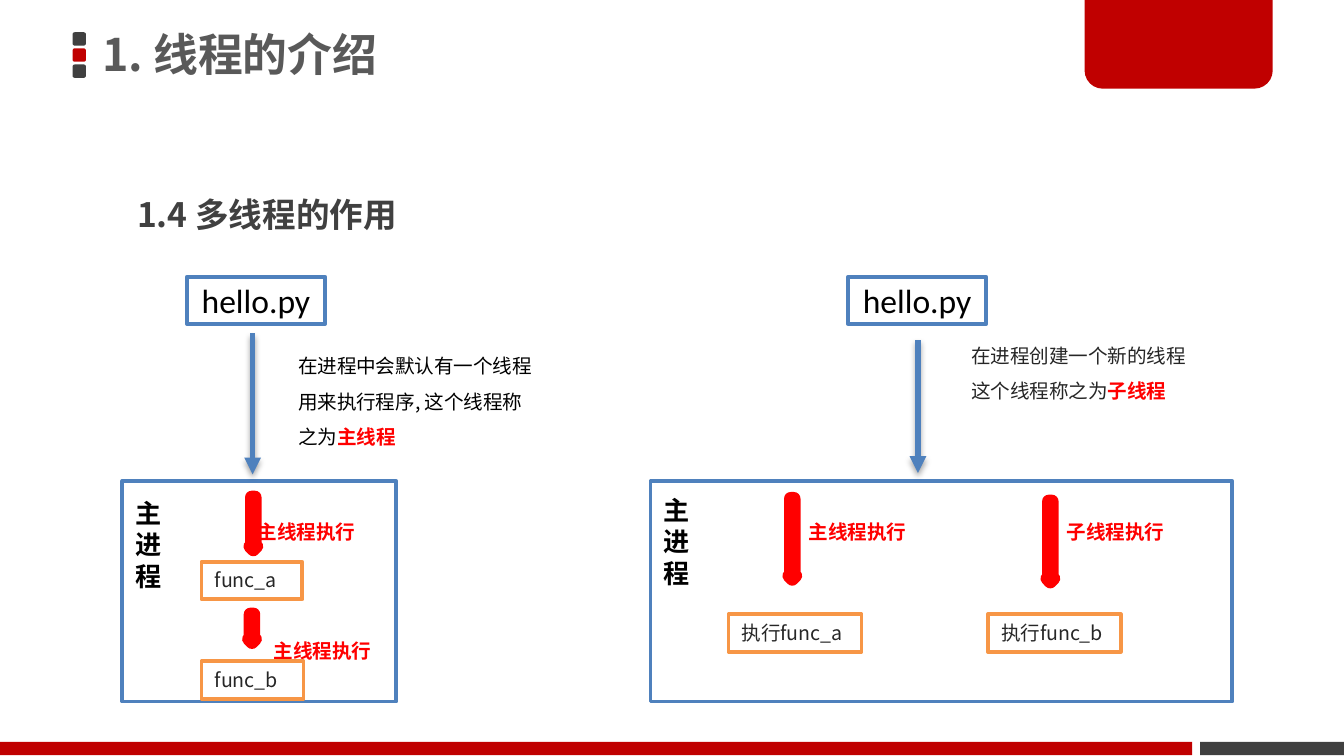
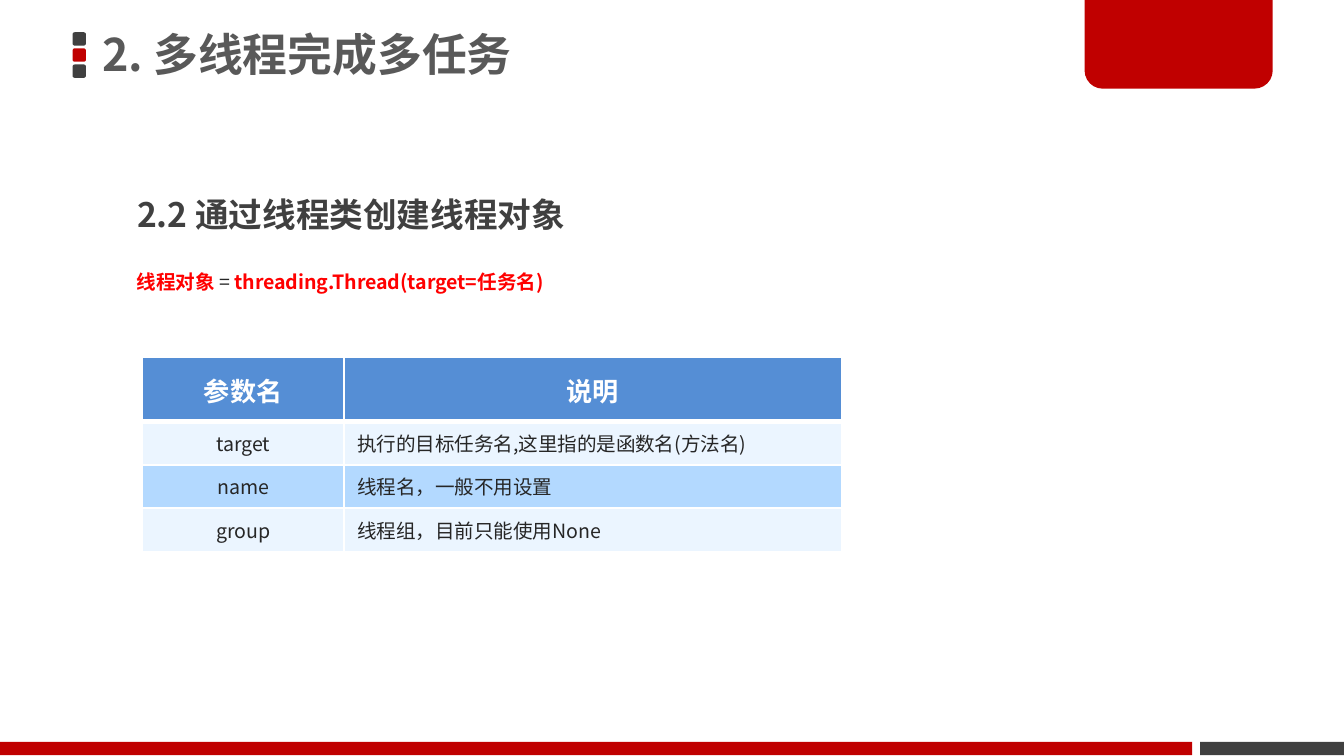
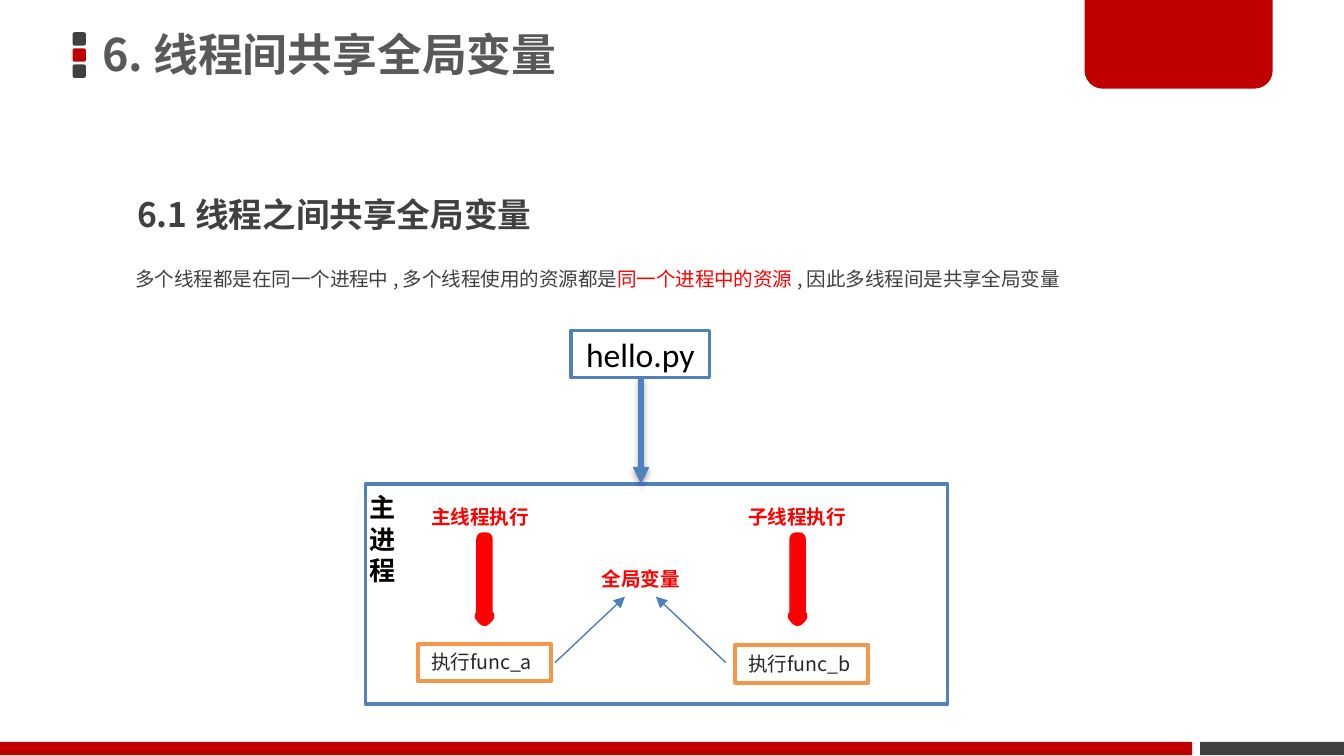
from dataclasses import dataclass, field
from typing import Any, NamedTuple

from lxml import etree
from pptx import Presentation
from pptx.dml.color import RGBColor
from pptx.enum.shapes import MSO_CONNECTOR, MSO_SHAPE
from pptx.enum.text import MSO_ANCHOR, MSO_AUTO_SIZE, PP_ALIGN
from pptx.oxml import parse_xml
from pptx.oxml.ns import nsdecls, qn
from pptx.util import Inches, Pt

RECT, ROUND_RECT = MSO_SHAPE.RECTANGLE, MSO_SHAPE.ROUNDED_RECTANGLE
TAB, DOWN_ARROW = MSO_SHAPE.ROUND_2_SAME_RECTANGLE, MSO_SHAPE.DOWN_ARROW
STRAIGHT = MSO_CONNECTOR.STRAIGHT
TOP, MIDDLE = MSO_ANCHOR.TOP, MSO_ANCHOR.MIDDLE
LEFT, CENTER = PP_ALIGN.LEFT, PP_ALIGN.CENTER
FIXED, GROW = MSO_AUTO_SIZE.NONE, MSO_AUTO_SIZE.SHAPE_TO_FIT_TEXT


def rgb(value: str) -> RGBColor:
    return RGBColor.from_string(value)


@dataclass(frozen=True)
class Theme:
    white: RGBColor = rgb("FFFFFF")
    black: RGBColor = rgb("000000")
    ink: RGBColor = rgb("262626")
    dark: RGBColor = rgb("404040")
    title: RGBColor = rgb("595959")
    brand: RGBColor = rgb("C00000")
    red: RGBColor = rgb("FF0000")
    blue: RGBColor = rgb("4F81BD")
    thin_blue: RGBColor = rgb("4B7EBC")
    orange: RGBColor = rgb("F79646")
    header: RGBColor = rgb("558ED5")
    light_row: RGBColor = rgb("EBF5FF")
    deep_row: RGBColor = rgb("B3D9FF")
    title_size: float = 24
    section_size: float = 18
    tag_size: float = 14
    text_size: float = 10.5
    cjk: str = "Noto Sans CJK SC"
    latin: str = "Calibri"


THEME = Theme()


class Style(NamedTuple):
    size: float
    color: RGBColor
    bold: bool = False
    font: str = THEME.cjk


TITLE = Style(THEME.title_size, THEME.title, True)
SECTION = Style(THEME.section_size, THEME.dark, True)
BODY = Style(THEME.text_size, THEME.ink)
BODY_BLACK = BODY._replace(color=THEME.black)
BODY_DARK = BODY._replace(color=THEME.dark)
BODY_RED = BODY._replace(color=THEME.red)
KEY = BODY_RED._replace(bold=True)
FILE = Style(THEME.section_size, THEME.black, False, THEME.latin)
TAG = Style(THEME.tag_size, THEME.black, True, THEME.latin)
HEADER = Style(THEME.tag_size, THEME.white, True)


class Box(NamedTuple):
    left: float
    top: float
    width: float
    height: float

    def lengths(self) -> list[Inches]:
        return [Inches(value) for value in self]


@dataclass(frozen=True)
class Line:
    """One paragraph: its styled spans, its format values and left indent."""
    spans: list[tuple[str, Style]]
    formats: dict[str, Any] = field(default_factory=dict)
    indent: float = 0


class Outline(NamedTuple):
    color: RGBColor
    width: float


PROCESS_EDGE = Outline(THEME.blue, 2)
TASK_EDGE = Outline(THEME.orange, 2)
THREAD_EDGE = Outline(THEME.red, 7)
LOOSE = {"line_spacing": 1.5}


@dataclass(frozen=True)
class Process:
    """A file that starts a process, with the process frame below it."""
    file_at: tuple[float, float]
    start: tuple[float, float]
    end: tuple[float, float]
    frame: Box
    tag_at: tuple[float, float]
    frame_lines: list[Line] = field(default_factory=list)


@dataclass(frozen=True)
class Task:
    """A thread arrow that leads to the function it runs."""
    name: str
    box: Box
    thread: Box
    label: str = ""
    label_at: tuple[float, float] = (0, 0)


# Drawing helpers
def apply(target: Any, formats: dict[str, Any]) -> None:
    for name, value in formats.items():
        setattr(target, name, value)


def write(frame: Any, lines: list[Line], **formats: Any) -> None:
    apply(frame, {"word_wrap": True, **formats})
    for index, line in enumerate(lines):
        paragraph = frame.paragraphs[0] if index == 0 else frame.add_paragraph()
        apply(paragraph, {"alignment": LEFT, **line.formats})
        if line.indent:
            paragraph._p.get_or_add_pPr().set("marL", str(Inches(line.indent)))
        for text, style in line.spans:
            run = paragraph.add_run()
            run.text = text
            apply(run.font, {"size": Pt(style.size), "bold": style.bold, "name": style.font})
            run.font.color.rgb = style.color
            east_asian = etree.SubElement(run.font._element, qn("a:ea"))
            east_asian.set("typeface", THEME.cjk)


def add_text(slide: Any, box: Box, lines: list[Line], **formats: Any) -> None:
    frame = slide.shapes.add_textbox(*box.lengths()).text_frame
    write(frame, lines, auto_size=GROW, **formats)


def add_block(slide: Any, kind: Any, box: Box, fill: RGBColor | None = None,
              outline: Outline | None = None) -> Any:
    block = slide.shapes.add_shape(kind, *box.lengths())
    block.shadow.inherit = False
    if fill is None:
        block.fill.background()
    else:
        block.fill.solid()
        block.fill.fore_color.rgb = fill
    if outline is None:
        block.line.fill.background()
    else:
        block.line.color.rgb = outline.color
        block.line.width = Pt(outline.width)
    return block


def add_arrow(slide: Any, start: tuple[float, float], end: tuple[float, float],
              outline: Outline, shadow: bool = False) -> None:
    arrow = slide.shapes.add_connector(STRAIGHT, *(Inches(v) for v in (*start, *end)))
    arrow.line.color.rgb = outline.color
    arrow.line.width = Pt(outline.width)
    etree.SubElement(arrow.line._get_or_add_ln(), qn("a:tailEnd")).set("type", "triangle")
    effects = etree.SubElement(arrow._element.spPr, qn("a:effectLst"))
    if shadow:
        effects.append(parse_xml(
            f'<a:outerShdw {nsdecls("a")} blurRad="{Pt(3.1)}" dist="{Pt(1.8)}" dir="5400000">'
            f'<a:srgbClr val="{THEME.black}"><a:alpha val="35000"/></a:srgbClr></a:outerShdw>'))


def add_process(slide: Any, process: Process) -> None:
    frame = add_block(slide, RECT, process.frame, THEME.white, PROCESS_EDGE)
    if process.frame_lines:
        write(frame.text_frame, process.frame_lines, vertical_anchor=MIDDLE)
    file = add_block(slide, RECT, Box(*process.file_at, 1.03, 0.35), THEME.white, PROCESS_EDGE)
    write(file.text_frame, [Line([("hello.py", FILE)], {"alignment": CENTER})],
          vertical_anchor=MIDDLE)
    add_arrow(slide, process.start, process.end, Outline(THEME.blue, 3), shadow=True)
    add_text(slide, Box(*process.tag_at, 0.4, 0.81),
             [Line([(letter, TAG)]) for letter in "主进程"], word_wrap=False)


def add_task(slide: Any, task: Task) -> None:
    add_block(slide, DOWN_ARROW, task.thread, outline=THREAD_EDGE)
    block = add_block(slide, RECT, task.box, THEME.white, TASK_EDGE)
    write(block.text_frame, [Line([(task.name, BODY)])], vertical_anchor=TOP, auto_size=GROW)
    if task.label:
        add_text(slide, Box(*task.label_at, 1.21, 0.28), [Line([(task.label, KEY)])])


# Shared parts
def decorate_layout(slide: Any, layout: Any) -> None:
    """Draw the marker, corner tab and footer bands, then hand them to the layout."""
    parts = [add_block(slide, ROUND_RECT, Box(0.54, 0.24 + 0.12 * row, 0.1, 0.1), color)
             for row, color in enumerate((THEME.dark, THEME.brand, THEME.dark))]
    tab = add_block(slide, TAB, Box(8.07, -0.02, 1.4, 0.68), THEME.brand)
    tab.adjustments[0], tab.adjustments[1] = 0, 0.2
    parts += [tab,
              add_block(slide, RECT, Box(8.93, 5.52, 1.07, 0.1), THEME.dark),
              add_block(slide, RECT, Box(0, 5.52, 8.87, 0.1), THEME.brand)]
    for part in parts:
        layout.shapes.element.append(part.element)


def add_page(deck: Any, title: str, section: str) -> Any:
    slide = deck.slides.add_slide(deck.slide_layouts[1])
    heading, body = slide.placeholders
    sides = ("left", "top", "width", "height")
    apply(heading, dict(zip(sides, Box(0.69, -0.02, 5.89, 0.89).lengths())))
    apply(body, dict(zip(sides, Box(0.92, 1.24, 3.84, 0.56).lengths())))
    write(heading.text_frame, [Line([(title, TITLE)], {"line_spacing": 0.9})],
          vertical_anchor=MIDDLE, auto_size=FIXED,
          margin_left=Inches(0.07), margin_right=Inches(0.07),
          margin_top=Inches(0.04), margin_bottom=Inches(0.04))
    write(body.text_frame, [Line([(section, SECTION)], {**LOOSE, "space_before": Pt(0)})],
          vertical_anchor=TOP, auto_size=FIXED)
    properties = body.text_frame.paragraphs[0]._p.get_or_add_pPr()
    properties.set("marL", "0")
    properties.set("indent", "0")
    etree.SubElement(properties, qn("a:buNone"))
    return slide


# Slides
def build_purpose(slide: Any) -> None:
    add_process(slide, Process(
        (1.39, 2.06), (1.88, 2.48), (1.88, 3.53), Box(0.91, 3.58, 2.04, 1.64), (0.91, 3.65),
        [Line([("主线程执行", KEY)], indent=0.91),
         Line([("主线程执行", KEY)], {"space_before": Pt(51)}, indent=1.03)]))
    add_process(slide, Process(
        (6.31, 2.06), (6.83, 2.53), (6.83, 3.52), Box(4.84, 3.58, 4.33, 1.64), (4.84, 3.63)))
    for task in (
        Task("func_a", Box(1.5, 4.18, 0.75, 0.28), Box(1.86, 3.7, 0.05, 0.39)),
        Task("func_b", Box(1.5, 4.92, 0.76, 0.28), Box(1.85, 4.57, 0.05, 0.21)),
        Task("执行func_a", Box(5.42, 4.57, 0.99, 0.28), Box(5.87, 3.71, 0.05, 0.6),
             "主线程执行", (5.92, 3.82)),
        Task("执行func_b", Box(7.35, 4.57, 0.99, 0.28), Box(7.79, 3.73, 0.05, 0.6),
             "子线程执行", (7.84, 3.82)),
    ):
        add_task(slide, task)
    add_text(slide, Box(2.12, 2.5, 1.98, 0.86), [Line(
        [("在进程中会默认有一个线程用来执行程序, 这个线程称之为", BODY_BLACK), ("主线程", KEY)], LOOSE)])
    add_text(slide, Box(7.13, 2.42, 2.28, 0.6), [
        Line([("在进程创建一个新的线程", BODY)], LOOSE),
        Line([("这个线程称之为", BODY), ("子线程", KEY)], LOOSE)])


def style_cell(cell: Any, fill: RGBColor, edges: dict[str, float]) -> None:
    cell.fill.solid()
    cell.fill.fore_color.rgb = fill
    for index, (side, width) in enumerate(edges.items()):
        cell._tc.get_or_add_tcPr().insert(index, parse_xml(
            f'<a:{side} {nsdecls("a")} w="{Pt(width)}"><a:solidFill>'
            f'<a:srgbClr val="{THEME.white}"/></a:solidFill></a:{side}>'))


def build_parameters(slide: Any) -> None:
    add_text(slide, Box(0.92, 1.87, 3.61, 0.33), [Line([
        ("线程对象 ", KEY), ("= ", BODY), ("threading.Thread(target=任务名)", KEY)], LOOSE)])
    rows = [("参数名", "说明"),
            ("target", "执行的目标任务名,这里指的是函数名(方法名)"),
            ("name", "线程名，一般不用设置"),
            ("group", "线程组，目前只能使用None")]
    table = slide.shapes.add_table(len(rows), 2, *Box(1.06, 2.66, 5.2, 1.45).lengths()).table
    for column, width in zip(table.columns, (1.5, 3.7)):
        column.width = Inches(width)
    for row, height in zip(table.rows, (0.48, 0.32, 0.32, 0.33)):
        row.height = Inches(height)
    fills = (THEME.header, THEME.light_row, THEME.deep_row, THEME.light_row)
    for r, (texts, fill) in enumerate(zip(rows, fills)):
        edges = {"lnL": 1, "lnR": 1, "lnT": 3 if r == 1 else 1, "lnB": 3 if r == 0 else 1}
        for c, text in enumerate(texts):
            cell = table.cell(r, c)
            formats = {"alignment": CENTER if r == 0 or c == 0 else LEFT}
            if r == 0:
                formats["line_spacing"] = Pt(24)
            write(cell.text_frame, [Line([(text, BODY if r else HEADER)], formats)])
            cell.vertical_anchor = MIDDLE if r else TOP
            style_cell(cell, fill, edges)


def build_sharing(slide: Any) -> None:
    add_text(slide, Box(0.91, 1.85, 7.4, 0.33), [Line([
        ("多个线程都是在同一个进程中 , 多个线程使用的资源都是", BODY_DARK),
        ("同一个进程中的资源 ", BODY_RED),
        (", 因此多线程间是共享全局变量", BODY_DARK)], LOOSE)])
    add_process(slide, Process(
        (4.25, 2.46), (4.77, 2.81), (4.77, 3.6), Box(2.72, 3.6, 4.33, 1.64), (2.65, 3.61)))
    for task in (
        Task("执行func_a", Box(3.11, 4.79, 0.99, 0.28), Box(3.58, 4.01, 0.05, 0.6),
             "主线程执行", (3.11, 3.71)),
        Task("执行func_b", Box(5.47, 4.8, 0.99, 0.28), Box(5.91, 4.01, 0.05, 0.6),
             "子线程执行", (5.47, 3.71)),
    ):
        add_task(slide, task)
    # Both functions reach the shared variable
    add_text(slide, Box(4.38, 4.17, 0.79, 0.28),
             [Line([("全局变量", KEY._replace(font=THEME.latin))])], word_wrap=False)
    for function_x, variable_x in ((4.13, 4.65), (5.4, 4.88)):
        add_arrow(slide, (function_x, 4.93), (variable_x, 4.44), Outline(THEME.thin_blue, 0.75))


def main() -> None:
    deck = Presentation()
    deck.slide_width = Inches(10)
    deck.slide_height = deck.slide_width * 9 // 16
    pages = (("1. 线程的介绍", "1.4 多线程的作用", build_purpose),
             ("2. 多线程完成多任务", "2.2 通过线程类创建线程对象", build_parameters),
             ("6. 线程间共享全局变量", "6.1 线程之间共享全局变量", build_sharing))
    for index, (title, section, build) in enumerate(pages):
        slide = add_page(deck, title, section)
        if index == 0:
            decorate_layout(slide, deck.slide_layouts[1])
        build(slide)
    deck.save("out.pptx")


if __name__ == "__main__":
    main()
